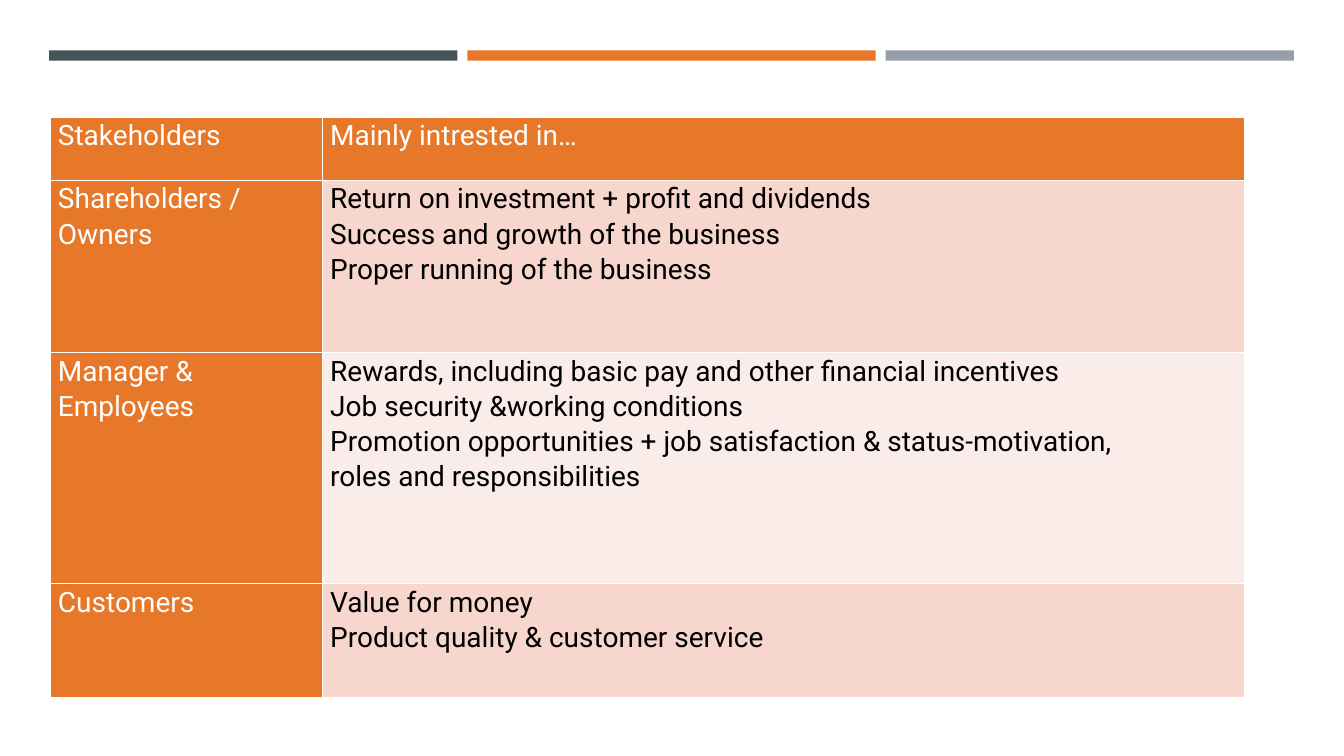
from dataclasses import dataclass

from lxml import etree
from pptx import Presentation
from pptx.dml.color import RGBColor
from pptx.enum.shapes import MSO_SHAPE
from pptx.oxml.ns import qn
from pptx.util import Cm, Pt

RECTANGLE = MSO_SHAPE.RECTANGLE
FONT = "Roboto"
COLOURS = {
    "slate": "465359",
    "orange": "E77829",
    "grey": "969FA7",
    "white": "FFFFFF",
    "black": "000000",
    "rose": "F6D6CD",
    "blush": "FAECE8",
}

BAR_LEFT, BAR_TOP, BAR_WIDTH, BAR_HEIGHT = 1.24, 1.27, 10.29, 0.26
BAR_PITCH = 10.54
BAR_COLOURS = ("slate", "orange", "grey")

TABLE_LEFT, TABLE_TOP = 1.27, 2.95
COLUMN_WIDTHS = (6.86, 23.24)


@dataclass
class StakeholderRow:
    name: str
    interests: list[str]
    height: float
    fill: str
    text_colour: str = "black"


ROWS = [
    StakeholderRow("Stakeholders", ["Mainly intrested in…"], 1.6, "orange", "white"),
    StakeholderRow(
        "Shareholders / Owners",
        [
            "Return on investment + profit and dividends",
            "Success and growth of the business",
            "Proper running of the business",
        ],
        4.34,
        "rose",
    ),
    StakeholderRow(
        "Manager & Employees",
        [
            "Rewards, including basic pay and other financial incentives",
            "Job security &working conditions",
            "Promotion opportunities + job satisfaction & status-motivation,",
            "roles and responsibilities",
        ],
        5.82,
        "blush",
    ),
    StakeholderRow(
        "Customers",
        ["Value for money", "Product quality & customer service"],
        2.87,
        "rose",
    ),
]


def colour(name: str) -> RGBColor:
    return RGBColor.from_string(COLOURS[name])


def draw_bar(slide, index: int, fill: str) -> None:
    left = BAR_LEFT + index * BAR_PITCH
    bar = slide.shapes.add_shape(
        RECTANGLE, Cm(left), Cm(BAR_TOP), Cm(BAR_WIDTH), Cm(BAR_HEIGHT)
    )
    bar.shadow.inherit = False
    bar.fill.solid()
    bar.fill.fore_color.rgb = colour(fill)
    bar.line.fill.background()


def add_borders(cell) -> None:
    """Give the cell a thin white line on all sides, placed before its fill."""
    properties = cell._tc.get_or_add_tcPr()
    for position, side in enumerate(("a:lnL", "a:lnR", "a:lnT", "a:lnB")):
        line = etree.Element(qn(side), w=str(Pt(1)))
        fill = etree.SubElement(line, qn("a:solidFill"))
        etree.SubElement(fill, qn("a:srgbClr"), val=COLOURS["white"])
        properties.insert(position, line)


def fill_cell(cell, lines: list[str], fill: str, text_colour: str) -> None:
    cell.fill.solid()
    cell.fill.fore_color.rgb = colour(fill)
    cell.margin_left = cell.margin_right = Cm(0.19)
    cell.margin_top = cell.margin_bottom = 0
    add_borders(cell)
    cell.text_frame.text = "\n".join(lines)
    for para in cell.text_frame.paragraphs:
        para.line_spacing = 1.07
        para.font.name = FONT
        para.font.size = Pt(20)
        para.font.color.rgb = colour(text_colour)


def draw_table(slide, rows: list[StakeholderRow]) -> None:
    frame = slide.shapes.add_table(
        len(rows),
        len(COLUMN_WIDTHS),
        Cm(TABLE_LEFT),
        Cm(TABLE_TOP),
        Cm(sum(COLUMN_WIDTHS)),
        Cm(sum(row.height for row in rows)),
    )
    table = frame.table
    table.first_row = table.horz_banding = False
    for column, width in zip(table.columns, COLUMN_WIDTHS):
        column.width = Cm(width)
    for index, row in enumerate(rows):
        table.rows[index].height = Cm(row.height)
        fill_cell(table.cell(index, 0), [row.name], "orange", "white")
        fill_cell(table.cell(index, 1), row.interests, row.fill, row.text_colour)


def main() -> None:
    deck = Presentation()
    deck.slide_width, deck.slide_height = Cm(33.87), Cm(19.05)
    page = deck.slides.add_slide(deck.slide_layouts[6])
    for index, fill in enumerate(BAR_COLOURS):
        draw_bar(page, index, fill)
    draw_table(page, ROWS)
    deck.save("out.pptx")


if __name__ == "__main__":
    main()
